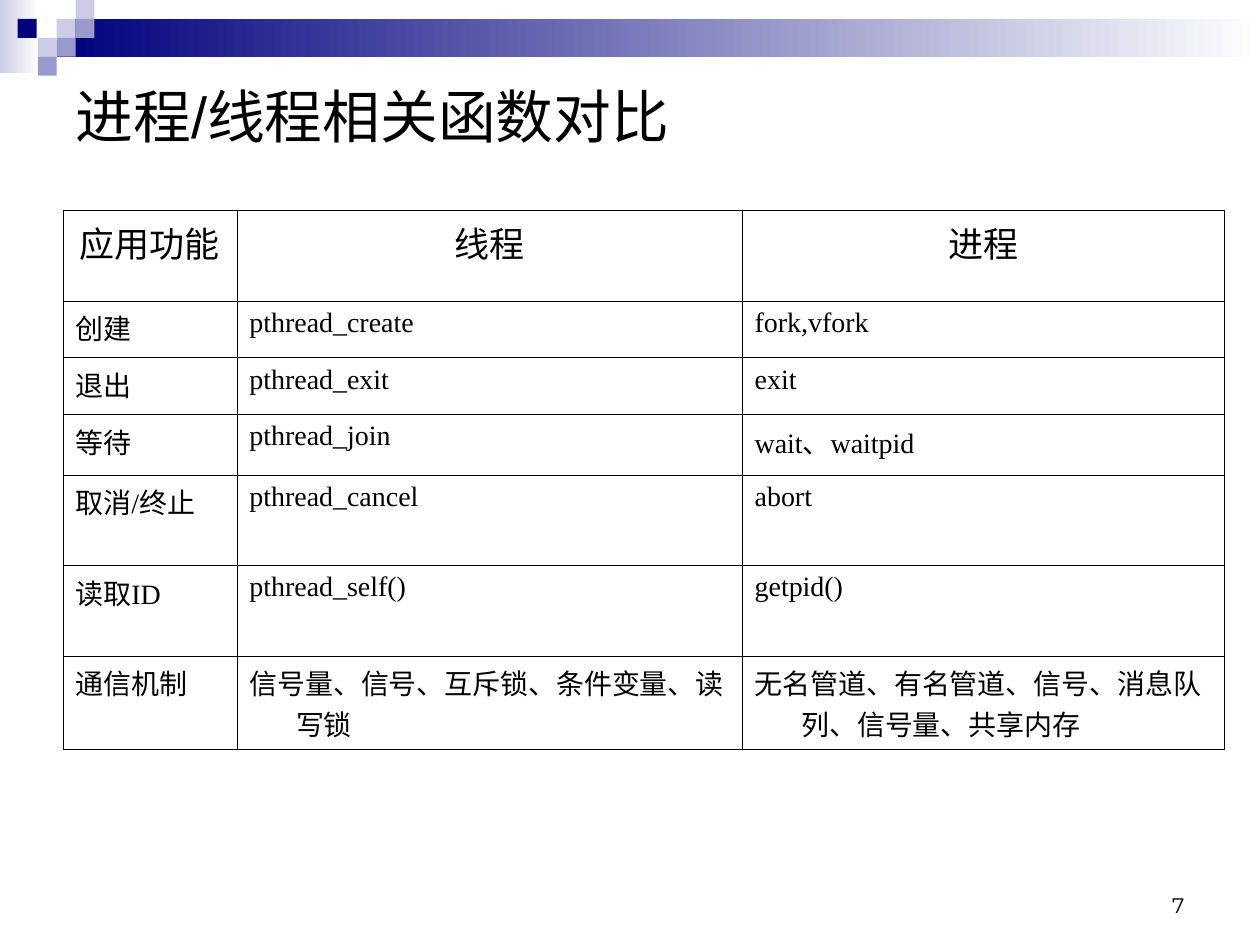
from lxml import etree
from pptx import Presentation
from pptx.dml.color import RGBColor
from pptx.enum.shapes import MSO_SHAPE
from pptx.enum.text import MSO_ANCHOR, PP_ALIGN
from pptx.oxml.ns import qn
from pptx.util import Inches, Pt

RECT = MSO_SHAPE.RECTANGLE
LEFT, CENTER, RIGHT = PP_ALIGN.LEFT, PP_ALIGN.CENTER, PP_ALIGN.RIGHT
TOP, MIDDLE, BOTTOM = MSO_ANCHOR.TOP, MSO_ANCHOR.MIDDLE, MSO_ANCHOR.BOTTOM
COLORS = {"navy": "00007D", "violet": "9999CC", "lilac": "CCCCE6",
          "white": "FFFFFF", "black": "000000"}


def add_block(left, top, width, height, *names):
    """Add a borderless rectangle; two color names give a gradient."""
    block = page.shapes.add_shape(RECT, Inches(left), Inches(top), Inches(width), Inches(height))
    block.shadow.inherit = False
    block.line.fill.background()
    if len(names) == 1:
        block.fill.solid()
        block.fill.fore_color.rgb = RGBColor.from_string(COLORS[names[0]])
    else:
        block.fill.gradient()
        block.fill.gradient_angle = 0
        for stop, name in zip(block.fill.gradient_stops, names):
            stop.color.rgb = RGBColor.from_string(COLORS[name])


def write(frame, text, size, font, align):
    """Write one formatted run into the first paragraph and return the paragraph."""
    para = frame.paragraphs[0]
    para.alignment = align
    span = para.add_run()
    span.text = text
    span.font.size = Pt(size)
    span.font.name = font
    span.font.color.rgb = RGBColor.from_string(COLORS["black"])
    return para


deck = Presentation()
deck.slide_width, deck.slide_height = Inches(10), Inches(7.5)
page = deck.slides.add_slide(deck.slide_layouts[5])

# Header band and its mosaic of squares
add_block(0, 0, 0.31, 0.58, "lilac", "white")
add_block(0.45, 0.15, 9.55, 0.3, "navy", "white")
SQUARE = 0.15
squares = [(0.45, 0.15, "lilac"), (0.6, 0, "lilac"), (0.6, 0.15, "violet"),
           (0.3, 0.3, "lilac"), (0.14, 0.15, "navy"), (0.45, 0.3, "violet"),
           (0.3, 0.45, "violet")]
for left, top, name in squares:
    add_block(left, top, SQUARE, SQUARE, name)

# Title
title = page.shapes.title
title.left, title.top = Inches(0.5), Inches(0.17)
title.width, title.height = Inches(9), Inches(1.5)
title.text_frame.vertical_anchor = MIDDLE
write(title.text_frame, "进程/线程相关函数对比", 33, "Arial", LEFT)

# Comparison table
rows = [
    ("应用功能", "线程", "进程"),
    ("创建", "pthread_create", "fork,vfork"),
    ("退出", "pthread_exit", "exit"),
    ("等待", "pthread_join", "wait、waitpid"),
    ("取消/终止", "pthread_cancel", "abort"),
    ("读取ID", "pthread_self()", "getpid()"),
    ("通信机制", "信号量、信号、互斥锁、条件变量、读写锁",
     "无名管道、有名管道、信号、消息队列、信号量、共享内存"),
]
widths = [1.38, 4.01, 3.83]
heights = [0.72, 0.45, 0.45, 0.48, 0.72, 0.72, 0.72]
table = page.shapes.add_table(len(rows), len(widths), Inches(0.5), Inches(1.67),
                              Inches(sum(widths)), Inches(sum(heights))).table
for column, width in zip(table.columns, widths):
    column.width = Inches(width)
for row, height in zip(table.rows, heights):
    row.height = Inches(height)

for row_index, texts in enumerate(rows):
    size, align = (20, CENTER) if row_index == 0 else (16, LEFT)
    for column_index, text in enumerate(texts):
        cell = table.cell(row_index, column_index)
        cell.vertical_anchor = TOP
        cell.margin_left = cell.margin_right = Inches(0.1)
        cell.margin_top = cell.margin_bottom = Inches(0.05)
        para = write(cell.text_frame, text, size, "Times New Roman", align)
        para.font.bold = False
        para.runs[0].font.bold = False
        # Hanging indent for wrapped lines
        indent = para._p.get_or_add_pPr()
        indent.set("marL", str(Inches(0.37)))
        indent.set("indent", str(-Inches(0.37)))
        # Thin black borders, then a clear fill
        properties = cell._tc.get_or_add_tcPr()
        for side in ("lnL", "lnR", "lnT", "lnB"):
            border = etree.SubElement(properties, qn(f"a:{side}"), w=str(Pt(0.45)))
            fill = etree.SubElement(border, qn("a:solidFill"))
            etree.SubElement(fill, qn("a:srgbClr"), val=COLORS["black"])
        cell.fill.background()

# Page number
number = page.shapes.add_textbox(Inches(7.17), Inches(6.83), Inches(2.33), Inches(0.5))
number.text_frame.word_wrap = True
number.text_frame.vertical_anchor = BOTTOM
write(number.text_frame, "7", 12, "Montserrat", RIGHT)

deck.save("out.pptx")
